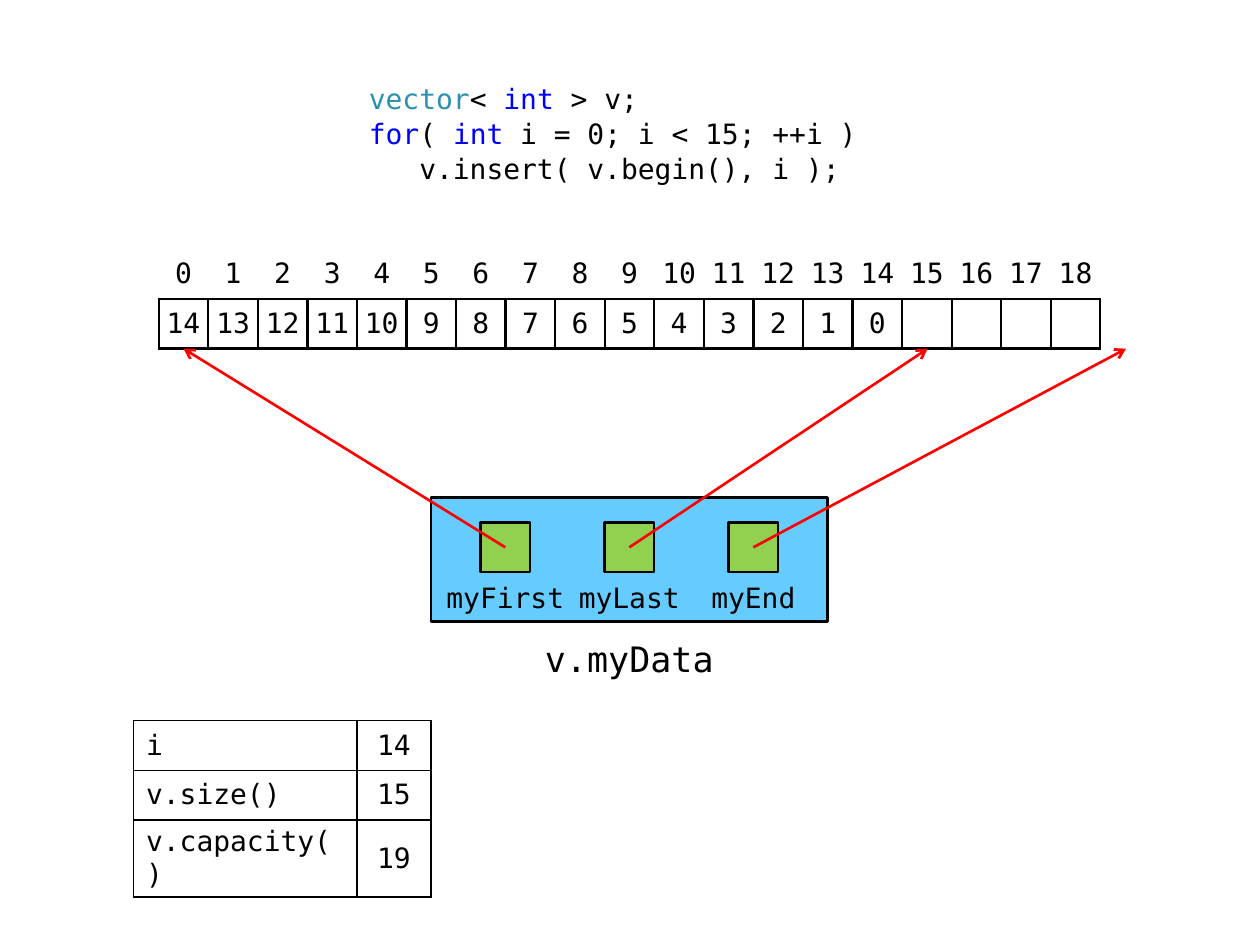
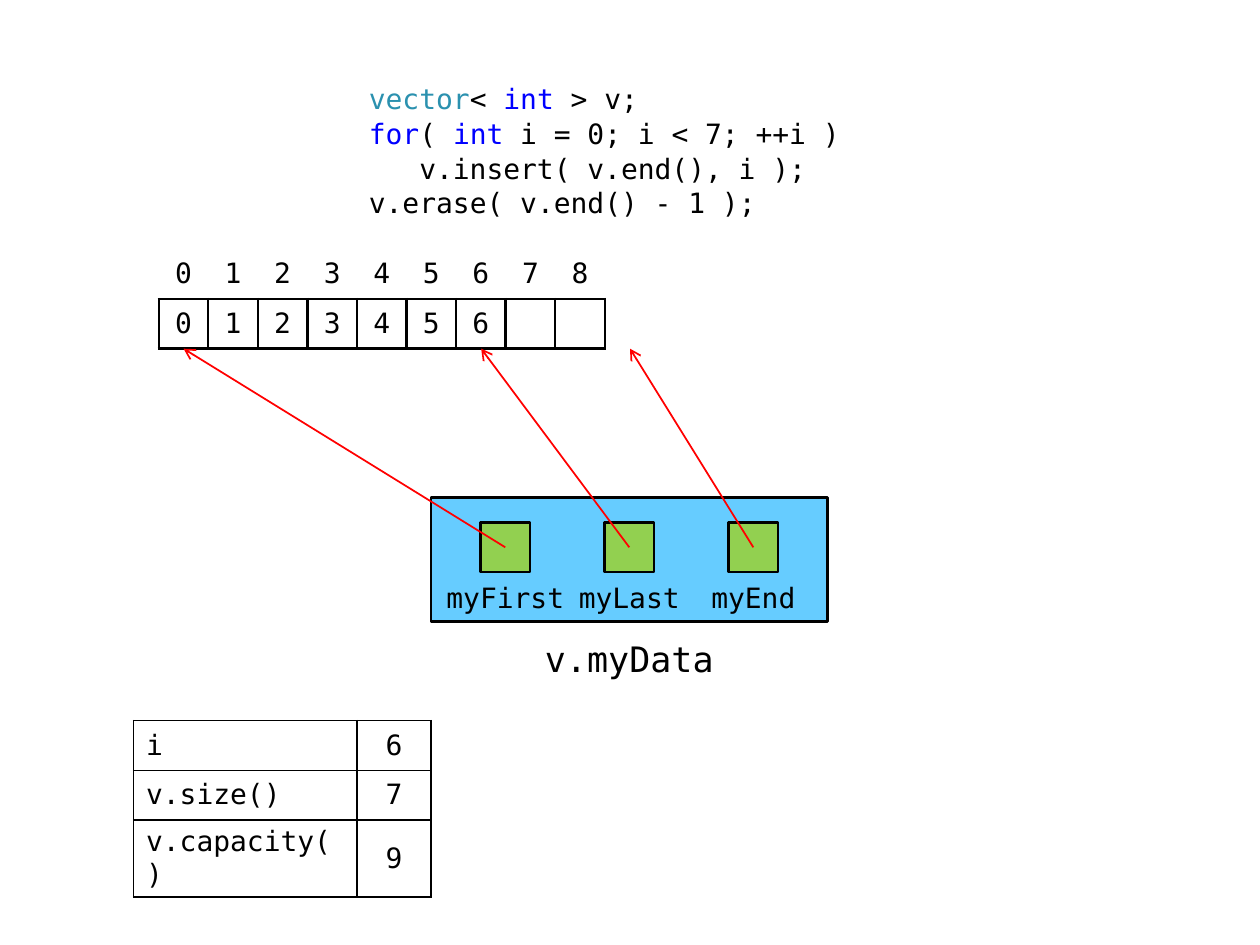
import pptx
import pptx.dml.color
import pptx.enum.shapes
import pptx.enum.text
import pptx.oxml
import pptx.oxml.ns
import pptx.util
from lxml import etree

Inches = pptx.util.Inches
Pt = pptx.util.Pt
RGBColor = pptx.dml.color.RGBColor
MSO_SHAPE = pptx.enum.shapes.MSO_SHAPE
PP_ALIGN = pptx.enum.text.PP_ALIGN
MIDDLE = pptx.enum.text.MSO_ANCHOR.MIDDLE
qn = pptx.oxml.ns.qn

BLACK = RGBColor(0x00, 0x00, 0x00)
RED = RGBColor(0xFF, 0x00, 0x00)
BLUE = RGBColor(0x00, 0x00, 0xFF)
TEAL = RGBColor(0x2B, 0x91, 0xAF)
SKY = RGBColor(0x66, 0xCC, 0xFF)
GREEN = RGBColor(0x92, 0xD0, 0x50)

FONT = "DejaVu Sans Mono"
NO_STYLE = "{2D5ABB26-0587-4C30-8999-92F81FD0307C}"
TOKEN_COLORS = {"vector": TEAL, "int": BLUE, "for": BLUE}
DECLARATION = ["vector", "< ", "int", " > v;"]

CELL = 1 / 2.54  # the layout grid is one centimetre
ARRAY_LEFT, ARRAY_TOP = 1.26, 1.98
DATA_LEFT, DATA_TOP = 3.42, 3.95
POINTERS = ["myFirst", "myLast", "myEnd"]


def style(p, size=16, align=PP_ALIGN.CENTER):
    p.alignment = align
    p.font.name = FONT
    p.font.size = Pt(size)
    p.font.color.rgb = BLACK


def add_code(s, lines, height):
    """Write code lines, each a pair of indent in inches and tokens."""
    tf = s.shapes.add_textbox(Inches(2.83), Inches(0.6), Inches(4.33), Inches(height)).text_frame
    tf.word_wrap = True
    for i, (indent, tokens) in enumerate(lines):
        p = tf.paragraphs[0] if i == 0 else tf.add_paragraph()
        style(p, align=PP_ALIGN.LEFT)
        p.space_before = Pt(0.6)
        p._p.get_or_add_pPr().set("marL", str(Inches(indent)))
        for token in tokens:
            r = p.add_run()
            r.text = token
            r.font.color.rgb = TOKEN_COLORS.get(token, BLACK)


def add_box(s, shape, left, top, width, height, fill=None, text="", size=16):
    """Add a filled, outlined box, or a bare label when fill is None."""
    sp = s.shapes.add_shape(shape, Inches(left), Inches(top), Inches(width), Inches(height))
    sp.shadow.inherit = False
    if fill is None:
        sp.fill.background()
        sp.line.fill.background()
    else:
        sp.fill.solid()
        sp.fill.fore_color.rgb = fill
        sp.line.color.rgb = BLACK
        sp.line.width = Pt(1.5)
    if text:
        tf = sp.text_frame
        tf.word_wrap = True
        tf.vertical_anchor = MIDDLE
        tf.text = text
        style(tf.paragraphs[0], size)


def add_arrow(s, x1, y1, x2, y2, width):
    line = s.shapes.add_connector(pptx.enum.shapes.MSO_CONNECTOR.STRAIGHT,
                                  Inches(x1), Inches(y1), Inches(x2), Inches(y2))
    line.line.color.rgb = RED
    line.line.width = Pt(width)
    etree.SubElement(line.line._get_or_add_ln(), qn("a:tailEnd"), type="arrow")
    etree.SubElement(line._element.spPr, qn("a:effectLst"))


def set_borders(cell, sides, width):
    tcPr = cell._tc.get_or_add_tcPr()
    for side in sides:
        ln = etree.SubElement(tcPr, qn("a:ln" + side), w=str(Pt(width)))
        solid = etree.SubElement(ln, qn("a:solidFill"))
        etree.SubElement(solid, qn("a:srgbClr"), val=str(BLACK))


def add_grid(s, rows, left, top, widths, margin, border, row_sides, aligns):
    """Add a plain table; row_sides names the cell sides drawn in each row."""
    frame = s.shapes.add_table(len(rows), len(widths), Inches(left), Inches(top),
                               Inches(sum(widths)), Inches(len(rows) * CELL))
    table = frame.table
    table.first_row = table.horz_banding = False
    table._tbl.tblPr.find(qn("a:tableStyleId")).text = NO_STYLE
    for column, width in zip(table.columns, widths):
        column.width = Inches(width)
    for row, values, sides in zip(table.rows, rows, row_sides):
        row.height = Inches(CELL)
        for cell, value, align in zip(row.cells, values, aligns):
            cell.margin_left = cell.margin_right = Inches(margin)
            cell.margin_top = cell.margin_bottom = Inches(0.04)
            cell.vertical_anchor = MIDDLE
            set_borders(cell, sides, border)
            cell.fill.background()
            if value != "":
                cell.text = str(value)
            style(cell.text_frame.paragraphs[0], align=align)


def add_array(s, values, capacity):
    rows = [range(capacity), values + [""] * (capacity - len(values))]
    add_grid(s, rows, ARRAY_LEFT, ARRAY_TOP, [CELL] * capacity, 0.06, 1.5,
             ["B", "LRTB"], [PP_ALIGN.CENTER] * capacity)


def add_data_box(s, targets, arrow_width):
    """Draw v.myData and an arrow from each pointer to its array index."""
    add_box(s, MSO_SHAPE.FLOWCHART_PROCESS, DATA_LEFT, DATA_TOP, 8 * CELL, 2.5 * CELL, SKY)
    for i, name in enumerate(POINTERS):
        left = DATA_LEFT + 2.5 * i * CELL
        add_box(s, MSO_SHAPE.FLOWCHART_PROCESS, left, DATA_TOP + 1.5 * CELL,
                3 * CELL, CELL, text=name)
        add_box(s, MSO_SHAPE.RECTANGLE, left + CELL, DATA_TOP + CELL / 2, CELL, CELL, GREEN)
    for i, target in enumerate(targets):
        add_arrow(s, DATA_LEFT + (2.5 * i + 1.5) * CELL, DATA_TOP + CELL,
                  ARRAY_LEFT + (target + 0.5) * CELL, ARRAY_TOP + 2 * CELL, arrow_width)
    add_box(s, MSO_SHAPE.RECTANGLE, DATA_LEFT + 2 * CELL, DATA_TOP + 2.5 * CELL,
            4 * CELL, 1.5 * CELL, text="v.myData", size=20)


def add_state(s, i, size, capacity):
    rows = [("i", i), ("v.size()", size), ("v.capacity()", capacity)]
    add_grid(s, rows, 1.06, 5.72, [4.5 * CELL, 1.5 * CELL], 0.1, 1,
             ["LRTB"] * 3, [PP_ALIGN.LEFT, PP_ALIGN.CENTER])


def add_vector_slide(prs, code, code_height, values, capacity, targets, arrow_width):
    s = prs.slides.add_slide(prs.slide_layouts[6])
    add_code(s, code, code_height)
    add_array(s, values, capacity)
    add_data_box(s, targets, arrow_width)
    add_state(s, len(values) - 1, len(values), capacity)


def main():
    prs = pptx.Presentation()
    prs.slide_width, prs.slide_height = Inches(10), Inches(7.5)
    insert_code = [
        (0, DECLARATION),
        (0, ["for", "( ", "int", " i = 0; i < 15; ++i )"]),
        (0.4, ["v.insert( v.begin(), i );"]),
    ]
    erase_code = [
        (0, DECLARATION),
        (0, ["for", "( ", "int", " i = 0; i < 7; ++i )"]),
        (0.4, ["v.insert( v.end(), i );"]),
        (0, ["v.erase( v.end() - 1 );"]),
    ]
    add_vector_slide(prs, insert_code, 0.98, list(range(14, -1, -1)), 19, [0, 15, 19], 1.5)
    add_vector_slide(prs, erase_code, 1.18, list(range(7)), 9, [0, 6, 9], 1)
    prs.save("out.pptx")


if __name__ == "__main__":
    main()
